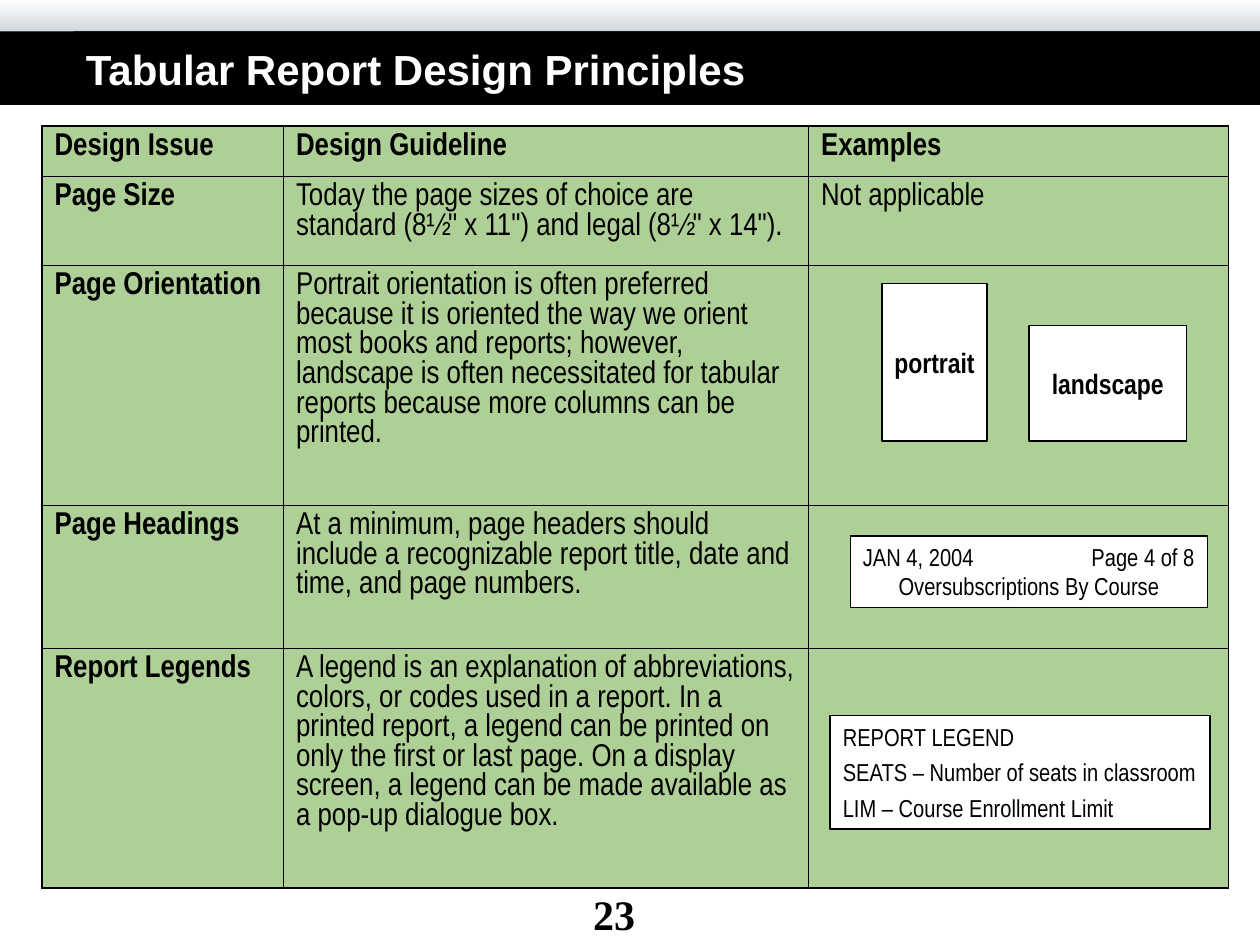
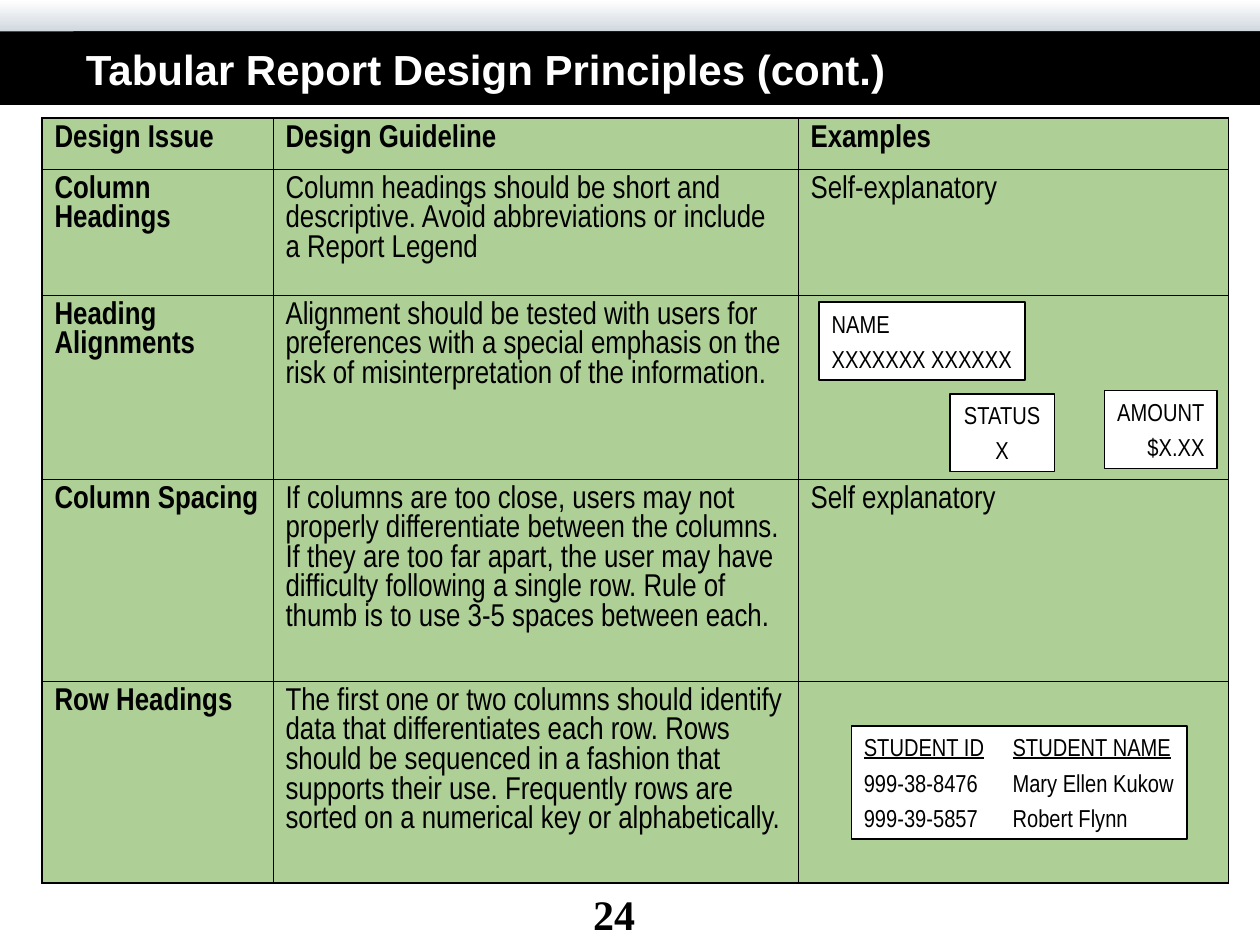
from lxml import etree
from pptx import Presentation
from pptx import util as u
from pptx.dml import color
from pptx.enum import shapes, text
from pptx.oxml import ns

Pt = u.Pt
COLORS = {"ink": "000000", "paper": "FFFFFF", "mist": "B7C3CD", "cell": "AECF95"}
NARROW = "Arial Narrow"
LEFT, CENTER, RIGHT = text.PP_ALIGN.LEFT, text.PP_ALIGN.CENTER, text.PP_ALIGN.RIGHT
TOP, MIDDLE = text.MSO_ANCHOR.TOP, text.MSO_ANCHOR.MIDDLE
TABLE_LEFT = 24
OUTER_LINE, INNER_LINE = 1.08, 0.45
HEADER = ("Design Issue", "Design Guideline", "Examples")

ORIENTATION = dict(size=16, bold=True, align=CENTER, anchor=MIDDLE)
LEGEND = dict(size=14, before=3.5)

SLIDES = [
    {
        "title": "Tabular Report Design Principles",
        "number": "23",
        "top": 72,
        "columns": (138, 300, 240),
        "heights": (29, 50.7, 137.1, 81.7, 137.1),
        "rows": [
            ("Page Size", "Today the page sizes of choice are standard (8½\" x 11\") and legal "
             "(8½\" x 14\").", "Not applicable"),
            ("Page Orientation", "Portrait orientation is often preferred because it is oriented "
             "the way we orient most books and reports; however, landscape is often necessitated "
             "for tabular reports because more columns can be printed.", ""),
            ("Page Headings", "At a minimum, page headers should include a recognizable report "
             "title, date and time, and page numbers.", ""),
            ("Report Legends", "A legend is an explanation of abbreviations, colors, or codes used "
             "in a report. In a printed report, a legend can be printed on only the first or last "
             "page. On a display screen, a legend can be made available as a pop-up dialogue box.",
             ""),
        ],
        "examples": [
            ((504, 162, 60, 90), ["portrait"], ORIENTATION),
            ((588, 186, 90, 66), ["landscape"], ORIENTATION),
            ((486, 306.2, 204, 41), ["JAN 4, 2004\tPage 4 of 8", "Oversubscriptions By Course"],
             dict(size=14, tab=(189.5, "r"), last_align=CENTER)),
            ((474.5, 408.8, 217, 64.8), ["REPORT LEGEND", "SEATS – Number of seats in classroom",
                                         "LIM – Course Enrollment Limit"], LEGEND),
        ],
    },
    {
        "title": "Tabular Report Design Principles (cont.)",
        "number": "24",
        "top": 67.5,
        "columns": (132, 300, 246),
        "heights": (29, 72.1, 105.1, 115.5, 115.5),
        "rows": [
            ("Column Headings", "Column headings should be short and descriptive. Avoid "
             "abbreviations or include a Report Legend", "Self-explanatory"),
            ("Heading Alignments", "Alignment should be tested with users for preferences with a "
             "special emphasis on the risk of misinterpretation of the information.", ""),
            ("Column Spacing", "If columns are too close, users may not properly differentiate "
             "between the columns. If they are too far apart, the user may have difficulty "
             "following a single row. Rule of thumb is to use 3-5 spaces between each.",
             "Self explanatory"),
            ("Row Headings", "The first one or two columns should identify data that "
             "differentiates each row. Rows should be sequenced in a fashion that supports their "
             "use. Frequently rows are sorted on a numerical key or alphabetically.", ""),
        ],
        "examples": [
            ((468.2, 172.8, 117.4, 44.5), ["NAME", "XXXXXXX XXXXXX"], LEGEND),
            ((631.2, 223.2, 64.2, 44.5), ["AMOUNT", "$X.XX"], dict(LEGEND, align=RIGHT)),
            ((542.8, 225, 59.8, 44.5), ["STATUS", "X"], dict(LEGEND, align=CENTER)),
            ((486.5, 414.8, 191.7, 64.8),
             ["STUDENT ID\tSTUDENT NAME", "999-38-8476\tMary Ellen Kukow",
              "999-39-5857\tRobert Flynn"],
             dict(LEGEND, tab=(85, "l"), underline_first=True)),
        ],
    },
]


def rgb(name):
    return color.RGBColor.from_string(COLORS[name])


def style(paragraph, size, font=NARROW, ink="ink", bold=False, align=LEFT):
    paragraph.alignment = align
    for run in paragraph.runs:
        run.font.size = Pt(size)
        run.font.name = font
        run.font.bold = bold
        run.font.color.rgb = rgb(ink)


def set_margins(target):
    target.margin_left = target.margin_right = Pt(7.2)
    target.margin_top = target.margin_bottom = Pt(3.6)


def add_rectangle(slide, box, fill, outlined=False):
    shape = slide.shapes.add_shape(shapes.MSO_SHAPE.RECTANGLE, *map(Pt, box))
    shape.shadow.inherit = False
    shape.fill.solid()
    shape.fill.fore_color.rgb = rgb(fill)
    if outlined:
        shape.line.color.rgb = rgb("ink")
        shape.line.width = Pt(1)
    else:
        shape.line.fill.background()
    set_margins(shape.text_frame)
    return shape


def add_frame(slide, title, number):
    sky = add_rectangle(slide, (0, 0, 720, 27), "paper")
    sky.fill.gradient()
    sky.fill.gradient_angle = 270
    for stop, name, position in zip(sky.fill.gradient_stops, ("paper", "mist"), (0, 1)):
        stop.color.rgb = rgb(name)
        stop.position = position
    add_rectangle(slide, (0, 18, 720, 42), "ink")

    title_band = add_rectangle(slide, (42, 18, 678, 42), "ink")
    title_band.text_frame.text = title
    title_band.text_frame.vertical_anchor = MIDDLE
    style(title_band.text_frame.paragraphs[0], 24, "Arial", "paper", bold=True)

    page = slide.shapes.add_textbox(Pt(312), Pt(504), Pt(78), Pt(36))
    page.text_frame.word_wrap = True
    page.text_frame.text = number
    set_margins(page.text_frame)
    style(page.text_frame.paragraphs[0], 24, "Times New Roman", bold=True, align=CENTER)


def set_borders(cell, widths):
    properties = cell._tc.get_or_add_tcPr()
    for index, (side, width) in enumerate(zip(("lnL", "lnR", "lnT", "lnB"), widths)):
        line = etree.Element(ns.qn("a:" + side), w=str(Pt(width)))
        solid = etree.SubElement(line, ns.qn("a:solidFill"))
        etree.SubElement(solid, ns.qn("a:srgbClr"), val=COLORS["ink"])
        properties.insert(index, line)


def add_guidelines(slide, content):
    rows = [HEADER] + content["rows"]
    columns, heights = content["columns"], content["heights"]
    table = slide.shapes.add_table(
        len(rows), len(columns), Pt(TABLE_LEFT), Pt(content["top"]),
        Pt(sum(columns)), Pt(sum(heights))).table
    table.first_row = table.horz_banding = False
    for column, width in zip(table.columns, columns):
        column.width = Pt(width)
    for row, height in zip(table.rows, heights):
        row.height = Pt(height)
    last_row, last_column = len(rows) - 1, len(columns) - 1
    for r, row in enumerate(rows):
        for c, words in enumerate(row):
            cell = table.cell(r, c)
            cell.text_frame.text = words
            set_margins(cell)
            cell.fill.solid()
            cell.fill.fore_color.rgb = rgb("cell")
            edges = (c == 0, c == last_column, r == 0, r == last_row)
            set_borders(cell, [OUTER_LINE if edge else INNER_LINE for edge in edges])
            style(cell.text_frame.paragraphs[0], 18, bold=r == 0 or c == 0)


def add_tab(paragraph, position, align):
    tabs = etree.SubElement(paragraph._p.get_or_add_pPr(), ns.qn("a:tabLst"))
    etree.SubElement(tabs, ns.qn("a:tab"), pos=str(Pt(position)), algn=align)


def add_example(slide, box, lines, size, bold=False, align=LEFT, anchor=TOP, before=0,
                tab=None, last_align=None, underline_first=False):
    frame = add_rectangle(slide, box, "paper", outlined=True).text_frame
    frame.word_wrap = tab is not None
    frame.vertical_anchor = anchor
    frame.text = "\n".join(lines)
    for index, paragraph in enumerate(frame.paragraphs):
        if tab:
            add_tab(paragraph, *tab)
        if index and before:
            paragraph.space_before = Pt(before)
        style(paragraph, size, bold=bold, align=align)
    if last_align:
        frame.paragraphs[-1].alignment = last_align
    if underline_first:
        for run in frame.paragraphs[0].runs:
            run.font.underline = True


def main():
    presentation = Presentation()
    presentation.slide_width, presentation.slide_height = Pt(720), Pt(540)
    for content in SLIDES:
        slide = presentation.slides.add_slide(presentation.slide_layouts[6])
        add_frame(slide, content["title"], content["number"])
        add_guidelines(slide, content)
        for box, lines, options in content["examples"]:
            add_example(slide, box, lines, **options)
    presentation.save("out.pptx")


if __name__ == "__main__":
    main()
